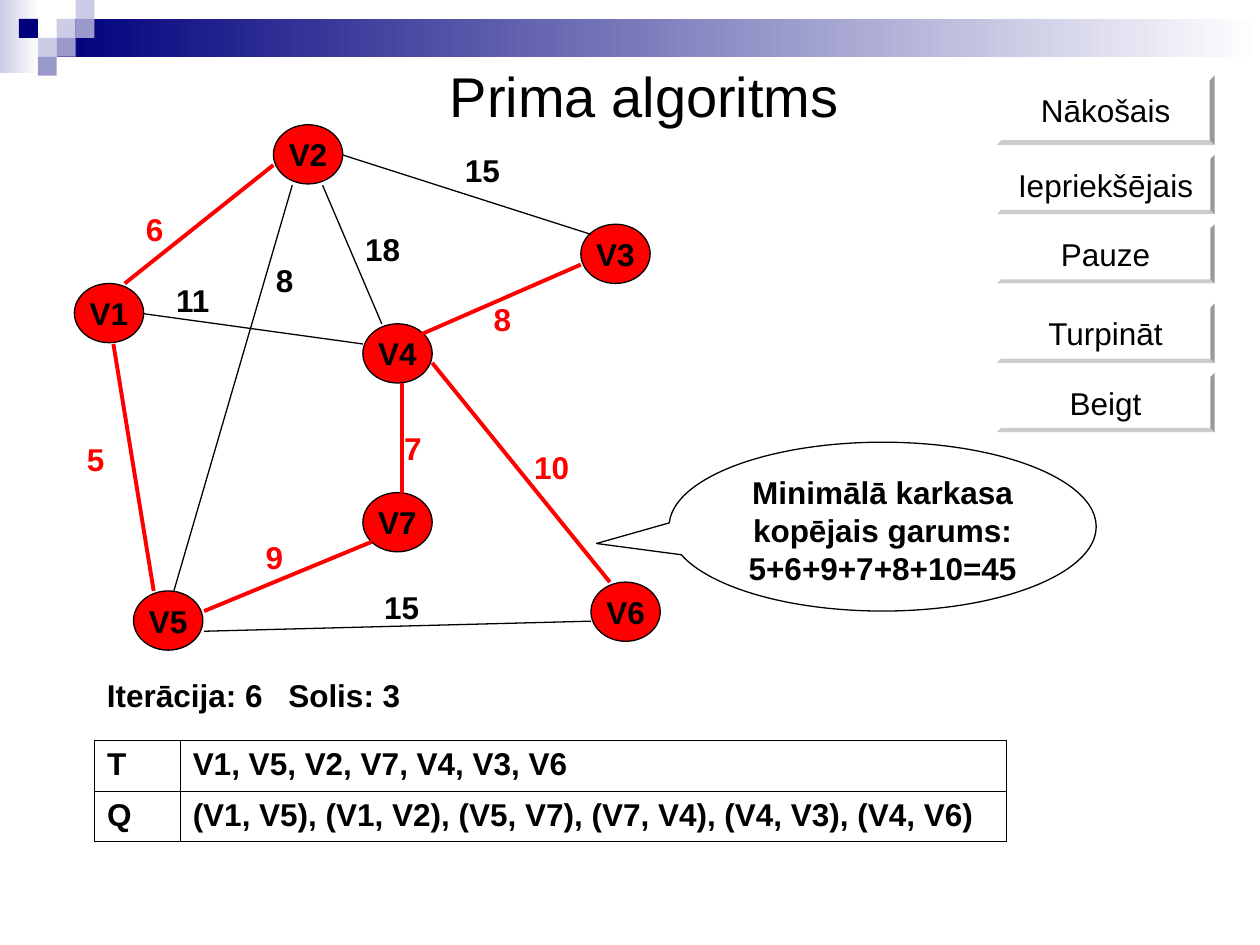
from lxml import etree
from pptx import Presentation
from pptx.dml.color import RGBColor
from pptx.enum.shapes import MSO_CONNECTOR, MSO_SHAPE
from pptx.enum.text import MSO_ANCHOR, MSO_AUTO_SIZE, PP_ALIGN
from pptx.oxml import parse_xml
from pptx.oxml.ns import nsdecls, qn
from pptx.util import Inches, Pt

RECTANGLE, OVAL, BEVEL = MSO_SHAPE.RECTANGLE, MSO_SHAPE.OVAL, MSO_SHAPE.BEVEL
CALLOUT = MSO_SHAPE.OVAL_CALLOUT
STRAIGHT = MSO_CONNECTOR.STRAIGHT
LEFT, CENTER = PP_ALIGN.LEFT, PP_ALIGN.CENTER
TOP, MIDDLE = MSO_ANCHOR.TOP, MSO_ANCHOR.MIDDLE
GROW = MSO_AUTO_SIZE.SHAPE_TO_FIT_TEXT

COLORS = {
    "black": "000000",
    "white": "FFFFFF",
    "red": "FF0000",
    "navy": "00007D",
    "lilac": "9999CC",
    "pale": "CCCCE6",
}
RGB = {name: RGBColor.from_string(value) for name, value in COLORS.items()}


def write(frame, text, align=LEFT, color="black", size=18, bold=True):
    """Fill the first paragraph of a text frame and format it."""
    para = frame.paragraphs[0]
    para.alignment = align
    span = para.add_run()
    span.text = text
    formats = {"name": "Arial", "size": Pt(size), "bold": bold}
    for key, value in formats.items():
        setattr(span.font, key, value)
    span.font.color.rgb = RGB[color]


def add_filled(kind, left, top, width, height, color, outline=None):
    shape = page.shapes.add_shape(
        kind, Inches(left), Inches(top), Inches(width), Inches(height))
    shape.shadow.inherit = False
    shape.fill.solid()
    shape.fill.fore_color.rgb = RGB[color]
    if outline:
        shape.line.color.rgb = RGB[outline]
        shape.line.width = Pt(0.75)
    else:
        shape.line.fill.background()
    return shape


deck = Presentation()
deck.slide_width, deck.slide_height = Inches(10), Inches(7.5)
page = deck.slides.add_slide(deck.slide_layouts[6])

# Header: two fading bars and a mosaic of small squares
fades = [(0, 0, 0.31, 0.58, "pale"), (0.45, 0.15, 9.55, 0.3, "navy")]
for left, top, width, height, color in fades:
    bar = add_filled(RECTANGLE, left, top, width, height, color)
    bar.fill.gradient()
    bar.fill.gradient_angle = 180
    for stop, name in zip(bar.fill.gradient_stops, ("white", color)):
        stop.color.rgb = RGB[name]

TILE = 0.15
tiles = [(3, 1, "pale"), (4, 0, "pale"), (4, 1, "lilac"), (2, 2, "pale"),
         (1, 1, "navy"), (3, 2, "lilac"), (2, 3, "lilac")]
for column, row, color in tiles:
    add_filled(RECTANGLE, column * TILE, row * TILE, TILE, TILE, color)

# Graph nodes
nodes = {"V1": (0.59, 2.25), "V2": (2.17, 0.99), "V3": (4.61, 1.78),
         "V4": (2.88, 2.57), "V5": (1.06, 4.69), "V6": (4.69, 4.62),
         "V7": (2.88, 3.91)}
for name, (left, top) in nodes.items():
    node = add_filled(OVAL, left, top, 0.55, 0.47, "red", "black")
    node.text_frame.word_wrap = False
    node.text_frame.vertical_anchor = MIDDLE
    write(node.text_frame, name, CENTER)

# Graph edges: start, end, weight, place of the weight, in the spanning tree
edges = [
    ((0.99, 2.25), (2.17, 1.31), 6, (1.06, 1.62), True),
    ((2.32, 1.47), (1.38, 4.69), 8, (2.09, 2.02), False),
    ((2.56, 1.47), (3.03, 2.57), 18, (2.8, 1.78), False),
    ((2.72, 1.23), (4.69, 1.86), 15, (3.59, 1.15), False),
    ((1.14, 2.49), (2.88, 2.73), 11, (1.3, 2.18), False),
    ((0.9, 2.73), (1.22, 4.69), 5, (0.59, 3.44), True),
    ((3.35, 2.65), (4.61, 2.1), 8, (3.82, 2.33), True),
    ((3.19, 3.04), (3.19, 3.91), 7, (3.11, 3.36), True),
    ((1.62, 4.85), (2.95, 4.3), 9, (2.01, 4.22), True),
    ((1.62, 5.01), (4.69, 4.93), 15, (2.95, 4.62), False),
    ((3.43, 2.88), (4.84, 4.62), 10, (4.14, 3.51), True),
]
texts = [
    (1.77, 0.44, 6.69, 0.64, "Prima algoritms", CENTER, "black", 32, False),
    (0.75, 5.32, 3.07, 0.4, "Iterācija: 6\tSolis: 3", LEFT, "black", 18, True),
]
for start, end, weight, (left, top), in_tree in edges:
    color = "red" if in_tree else "black"
    edge = page.shapes.add_connector(
        STRAIGHT, *[Inches(value) for value in start + end])
    edge.line.color.rgb = RGB[color]
    edge.line.width = Pt(2.25 if in_tree else 0.75)
    etree.SubElement(edge._element.spPr, qn("a:effectLst"))
    texts.append((left, top, 0.55, 0.4, str(weight), LEFT, color, 18, True))

# Title, step line and edge weights
for left, top, width, height, text, *style in texts:
    box = page.shapes.add_textbox(
        Inches(left), Inches(top), Inches(width), Inches(height))
    box.text_frame.word_wrap = True
    box.text_frame.auto_size = GROW
    if "\t" in text:
        properties = box.text_frame.paragraphs[0]._p.get_or_add_pPr()
        tabs = etree.SubElement(properties, qn("a:tabLst"))
        etree.SubElement(tabs, qn("a:tab"), pos=str(Inches(1.44)), algn="l")
    write(box.text_frame, text, *style)

# Control buttons
buttons = [("Nākošais", 0.6, 0.55), ("Iepriekšējais", 1.23, 0.47),
           ("Pauze", 1.78, 0.47), ("Turpināt", 2.41, 0.47),
           ("Beigt", 2.96, 0.47)]
for text, top, height in buttons:
    button = add_filled(BEVEL, 7.91, top, 1.73, height, "white")
    button.adjustments[0] = 0.07
    button.text_frame.word_wrap = False
    button.text_frame.vertical_anchor = MIDDLE
    write(button.text_frame, text, CENTER, bold=False)

# Table of visited nodes and chosen edges
rows = [("T", "V1, V5, V2, V7, V4, V3, V6"),
        ("Q", "(V1, V5), (V1, V2), (V5, V7), (V7, V4), (V4, V3), (V4, V6)")]
table = page.shapes.add_table(
    2, 2, Inches(0.75), Inches(5.88), Inches(7.24), Inches(0.8)).table
table.first_row = table.horz_banding = False
for column, width in zip(table.columns, (0.68, 6.56)):
    column.width = Inches(width)
for row, values in enumerate(rows):
    for column, text in enumerate(values):
        cell = table.cell(row, column)
        cell.fill.background()
        write(cell.text_frame, text)
        properties = cell._tc.get_or_add_tcPr()
        for index, side in enumerate(("lnL", "lnR", "lnT", "lnB")):
            properties.insert(index, parse_xml(
                f'<a:{side} {nsdecls("a")} w="{Pt(0.5)}"><a:solidFill>'
                f'<a:srgbClr val="{COLORS["black"]}"/></a:solidFill></a:{side}>'))

# Result callout
callout = add_filled(CALLOUT, 5.31, 3.51, 3.39, 1.34, "white", "black")
callout.adjustments[0] = -0.67
callout.adjustments[1] = 0.1
callout.text_frame.word_wrap = True
callout.text_frame.vertical_anchor = TOP
write(callout.text_frame,
      "Minimālā karkasa kopējais garums: 5+6+9+7+8+10=45", CENTER)

deck.save("out.pptx")
